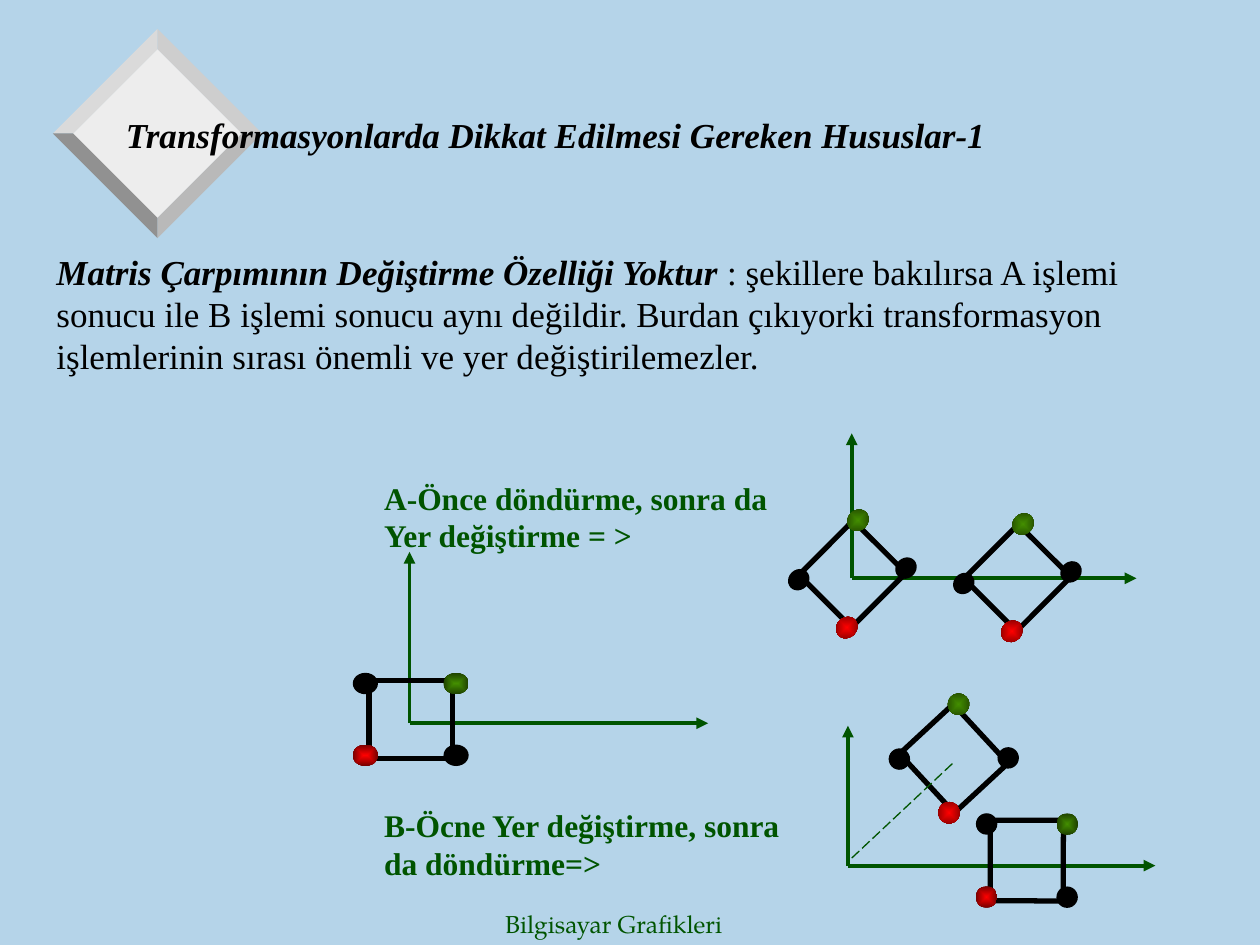
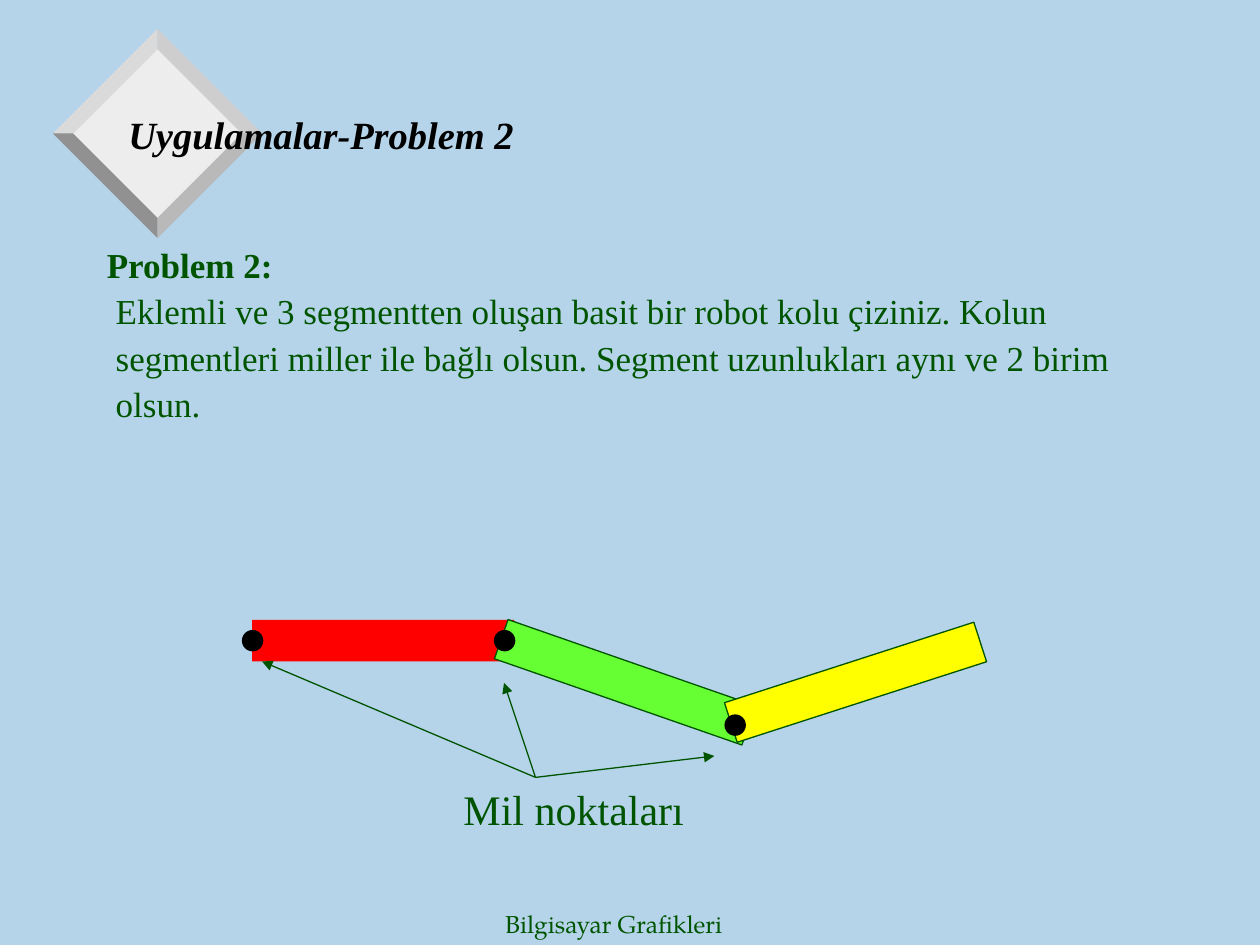
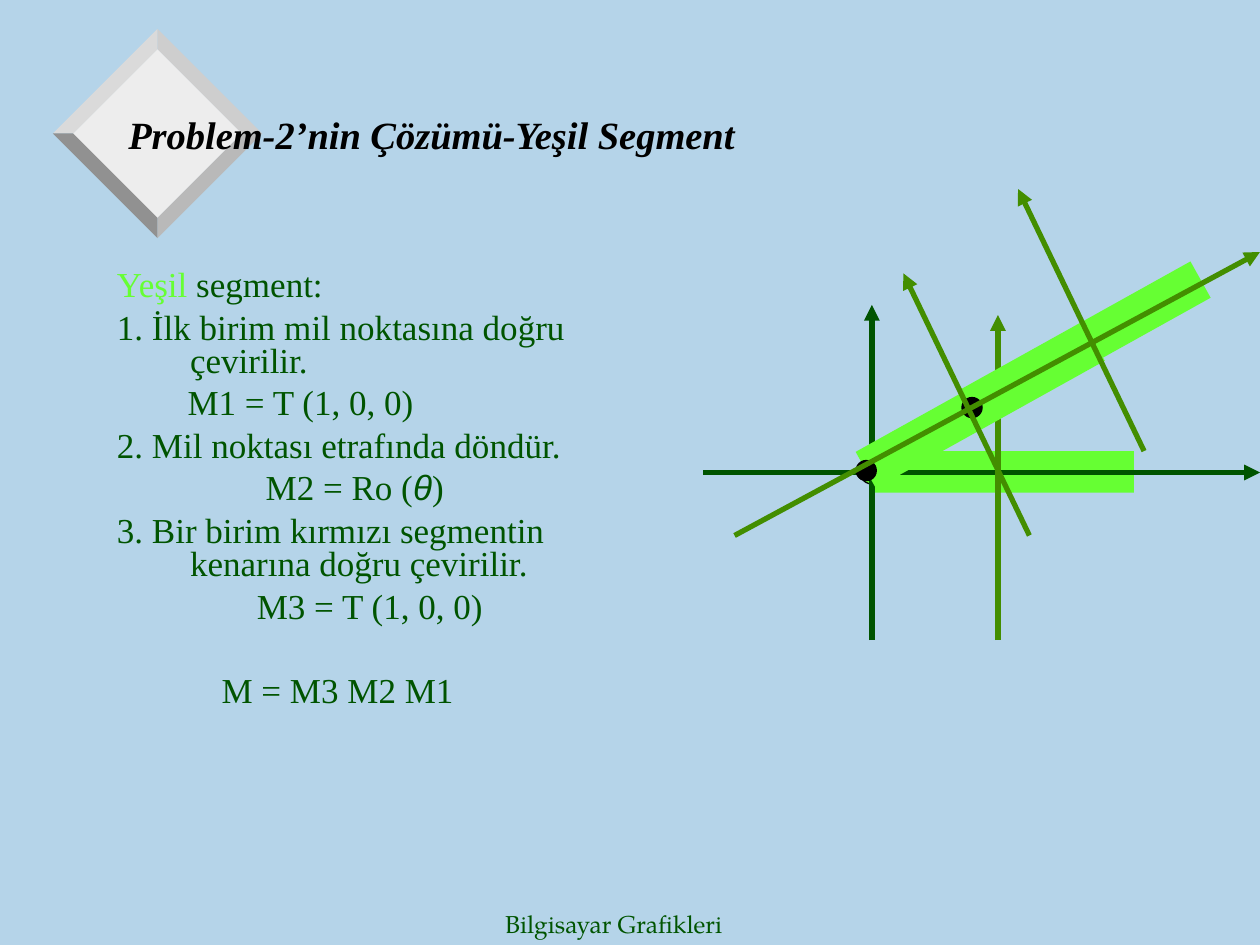
import math

from lxml import etree
from pptx import Presentation
from pptx import util as u
from pptx.dml.color import RGBColor
from pptx.enum import dml, shapes, text
from pptx.oxml.ns import qn

COLORS = {
    "sky": "B5D4E9", "ink": "005400", "black": "000000", "olive": "438E00",
    "olive_dark": "1E4100", "red": "FF0000", "red_dark": "750000",
    "lime": "66FF33", "yellow": "FFFF00", "face": "EDEDED",
    "upper_right": "CECECE", "upper_left": "DADADA",
    "lower_right": "B9B9B9", "lower_left": "919191",
}
RGB = {name: RGBColor.from_string(value) for name, value in COLORS.items()}
RECT = shapes.MSO_SHAPE.RECTANGLE
OVAL = shapes.MSO_SHAPE.OVAL
SERIF = "Times New Roman"


def add_text(slide, place, paragraphs, size=20, color="ink", bold=False, italic=False,
             font=SERIF, spacing=1.0, anchor=text.MSO_ANCHOR.TOP, wrap=True):
    """Each paragraph is a dict: runs [(text, overrides)], margin, hanging, before."""
    frame = slide.shapes.add_textbox(*map(u.Inches, place)).text_frame
    frame.word_wrap = wrap
    frame.vertical_anchor = anchor
    for index, content in enumerate(paragraphs):
        paragraph = frame.add_paragraph() if index else frame.paragraphs[0]
        properties = paragraph._p.get_or_add_pPr()
        hanging = content.get("hanging", 0)
        properties.set("marL", str(u.Inches(content.get("margin", 0) + hanging)))
        properties.set("indent", str(-u.Inches(hanging)))
        paragraph.line_spacing = spacing
        paragraph.space_before = u.Pt(content.get("before", 5) if index else 0)
        for words, overrides in content["runs"]:
            style = {"font": font, "color": color, "bold": bold, "italic": italic, **overrides}
            run = paragraph.add_run()
            run.text = words
            run.font.name = style["font"]
            run.font.size = u.Pt(size)
            run.font.bold = style["bold"]
            run.font.italic = style["italic"]
            run.font.color.rgb = RGB[style["color"]]


def draw(slide, kind, place, fill=None, line=None, width=0.75, rotation=0,
         arrow=True, dash=None):
    """Draw a preset shape, or with kind "line" a connector from x, y to x, y."""
    lengths = [u.Inches(value) for value in place]
    if kind == "line":
        shape = slide.shapes.add_connector(shapes.MSO_CONNECTOR.STRAIGHT, *lengths)
    else:
        shape = slide.shapes.add_shape(kind, *lengths)
        shape.shadow.inherit = False
        shape.rotation = rotation
        if isinstance(fill, tuple):
            shape.fill.gradient()
            for stop, name in zip(shape.fill.gradient_stops, fill):
                stop.color.rgb = RGB[name]
            gradient = shape._element.spPr.find(qn("a:gradFill"))
            gradient.remove(gradient.find(qn("a:lin")))
            shading = etree.SubElement(gradient, qn("a:path"), path="rect")
            etree.SubElement(shading, qn("a:fillToRect"),
                             l="50000", t="50000", r="50000", b="50000")
        elif fill:
            shape.fill.solid()
            shape.fill.fore_color.rgb = RGB[fill]
        else:
            shape.fill.background()
    if line:
        shape.line.color.rgb = RGB[line]
        shape.line.width = u.Pt(width)
    else:
        shape.line.fill.background()
    if kind == "line":
        if dash:
            shape.line.dash_style = dash
        properties = shape._element.spPr
        if arrow:
            etree.SubElement(properties.find(qn("a:ln")), qn("a:tailEnd"), type="triangle")
        etree.SubElement(properties, qn("a:effectLst"))


presentation = Presentation()
presentation.slide_width = u.Inches(10)
presentation.slide_height = u.Inches(7.5)
background = presentation.slide_master.background.fill
background.solid()
background.fore_color.rgb = RGB["sky"]

# Bevelled diamond: inner and outer corners around one centre
center_x, center_y, inner, outer = 1.25, 1.06, 0.67, 0.83
top, right, bottom, left = [(0, -1), (1, 0), (0, 1), (-1, 0)]
diamond = [("face", [(top, inner), (right, inner), (bottom, inner), (left, inner)])]
for name, first, second in [("upper_right", top, right), ("upper_left", top, left),
                            ("lower_right", right, bottom), ("lower_left", left, bottom)]:
    diamond.append((name, [(first, inner), (first, outer), (second, outer), (second, inner)]))

# Shared parts: diamond, footer, title
titles = [
    ("Transformasyonlarda Dikkat Edilmesi Gereken Hususlar-1", 0.9, 7.74, 20),
    ("Uygulamalar-Problem 2", 0.92, 8.5, 22),
    ("Problem-2’nin Çözümü-Yeşil Segment", 0.92, 8.5, 22),
]
slides = []
for title, title_left, title_width, title_size in titles:
    slide = presentation.slides.add_slide(presentation.slide_layouts[6])
    slides.append(slide)
    for name, corners in diamond:
        points = [(u.Inches(center_x + x * radius), u.Inches(center_y + y * radius))
                  for (x, y), radius in corners]
        builder = slide.shapes.build_freeform(*points[0])
        builder.add_line_segments(points[1:], close=True)
        facet = builder.convert_to_shape()
        facet.shadow.inherit = False
        facet.fill.solid()
        facet.fill.fore_color.rgb = RGB[name]
        facet.line.fill.background()
    add_text(slide, (3.91, 7.17, 2.08, 0.33), [{"runs": [("Bilgisayar Grafikleri", {})]}],
             size=14, font="TeX Gyre Pagella", anchor=text.MSO_ANCHOR.MIDDLE, wrap=False)
    add_text(slide, (title_left, 0.46, title_width, 1.21), [{"runs": [(title, {})]}],
             size=title_size, color="black", bold=True, italic=True,
             anchor=text.MSO_ANCHOR.MIDDLE)
order_slide, problem_slide, solution_slide = slides

# Slide 1: explanation and operation labels
add_text(order_slide, (0.35, 1.94, 8.9, 1.1), [{"runs": [
    ("Matris Çarpımının Değiştirme Özelliği Yoktur ", {"bold": True, "italic": True}),
    (": şekillere bakılırsa A işlemi sonucu ile B işlemi sonucu aynı değildir. Burdan "
     "çıkıyorki transformasyon işlemlerinin sırası önemli ve yer değiştirilemezler.", {}),
]}], color="black")
for label, label_top in [("A-Önce döndürme, sonra da Yer değiştirme = >", 3.75),
                         ("B-Öcne Yer değiştirme, sonra da döndürme=>", 6.35)]:
    add_text(order_slide, (2.95, label_top, 3.45, 0.7), [{"runs": [(label, {})]}],
             size=18, bold=True)

# Axes: origin, end of x axis, end of y axis
for origin_x, origin_y, x_end, y_end in [(3.25, 5.74, 5.62, 4.38),
                                         (6.76, 4.59, 9.02, 3.44),
                                         (6.73, 6.87, 9.17, 5.76)]:
    for end in [(x_end, origin_y), (origin_x, y_end)]:
        draw(order_slide, "line", (origin_x, origin_y, *end), line="ink", width=2.25)

# Squares with dots at the corners: centre, size, dot offset, dot size, rotation
squares = [
    (3.26, 5.71, 0.66, 0.62, 0.36, 0.285, 0.2, 0.17, 0),
    (6.765, 4.555, 0.61, 0.59, 0.333, 0.269, 0.18, 0.16, -45.1),
    (8.075, 4.585, 0.61, 0.59, 0.333, 0.269, 0.18, 0.16, -45.1),
    (8.15, 6.83, 0.58, 0.64, 0.32, 0.29, 0.17, 0.17, 0.1),
    (7.57, 6.02, 0.58, 0.64, 0.32, 0.29, 0.17, 0.17, -42.8),
]
dots = [(-1, -1, "black"), (1, -1, ("olive", "olive_dark")),
        (-1, 1, ("red", "red_dark")), (1, 1, "black")]
for x, y, width, height, offset_x, offset_y, dot_width, dot_height, angle in squares:
    draw(order_slide, RECT, (x - width / 2, y - height / 2, width, height),
         line="black", width=3, rotation=angle)
    cosine, sine = math.cos(math.radians(angle)), math.sin(math.radians(angle))
    for side_x, side_y, fill in dots:
        dx, dy = side_x * offset_x, side_y * offset_y
        dot_x = x + dx * cosine - dy * sine
        dot_y = y + dx * sine + dy * cosine
        draw(order_slide, OVAL,
             (dot_x - dot_width / 2, dot_y - dot_height / 2, dot_width, dot_height),
             fill=fill, rotation=angle)
draw(order_slide, "line", (6.76, 6.81, 7.57, 6.05), line="ink", arrow=False,
     dash=dml.MSO_LINE.LONG_DASH)

# Slide 2: problem statement
statement = [{"runs": [("Problem 2:", {"bold": True})]}]
for words in ["Eklemli ve 3 segmentten oluşan basit bir robot kolu çiziniz. Kolun",
              "segmentleri miller ile bağlı olsun. Segment uzunlukları aynı ve 2 birim",
              "olsun."]:
    statement.append({"runs": [(words, {})], "margin": 0.07})
add_text(problem_slide, (0.75, 1.92, 8.5, 2.42), statement, spacing=0.9)

# Robot arm segments, pins and pointers
segment_size = (2.08, 0.33)
pin_size = (0.17, 0.17)
for place, fill, line, angle in [((2, 4.92), "red", None, 0),
                                 ((3.92, 5.25), "lime", "ink", 19.2),
                                 ((5.75, 5.25), "yellow", "ink", 342.1)]:
    draw(problem_slide, RECT, place + segment_size, fill=fill, line=line, rotation=angle)
for place in [(1.92, 5), (3.92, 5), (5.75, 5.67)]:
    draw(problem_slide, OVAL, place + pin_size, fill="black")
for target in [(2.08, 5.25), (4, 5.42), (5.67, 6)]:
    draw(problem_slide, "line", (4.25, 6.17, *target), line="ink")
add_text(problem_slide, (3.58, 6.17, 2.28, 0.5), [{"runs": [("Mil noktaları", {})]}], size=24)

# Slide 3: solution steps
add_text(solution_slide, (0.83, 2.1, 4.58, 4.37), [
    {"runs": [("Yeşil", {"color": "lime"}), (" segment:", {})]},
    {"runs": [("1. İlk birim mil noktasına doğru çevirilir.", {})], "hanging": 0.58},
    {"runs": [("M1 = T (1, 0, 0)", {})], "margin": 0.56},
    {"runs": [("2. Mil noktası etrafında döndür.", {})], "hanging": 0.58},
    {"runs": [("M2 = Ro (", {}), ("θ", {"font": "Arial", "italic": True}), (")", {})],
     "margin": 1.18},
    {"runs": [("3. Bir birim kırmızı segmentin kenarına doğru çevirilir.", {})],
     "hanging": 0.58},
    {"runs": [("M3 = T (1, 0, 0)", {})], "margin": 1.11},
    {"runs": [("M = M3 M2 M1", {})], "margin": 0.83, "before": 29},
], spacing=0.8)

# Segment at rest and the fixed axes
draw(solution_slide, RECT, (6.92, 3.58) + segment_size, fill="lime")
draw(solution_slide, OVAL, (6.83, 3.67) + pin_size, fill="lime", line="black")
for place, color in [((5.58, 3.75, 10, 3.75), "ink"), ((6.92, 5.08, 6.92, 2.42), "ink"),
                     ((7.92, 5.08, 7.92, 2.5), "olive")]:
    draw(solution_slide, "line", place, line=color, width=3)

# Rotated segments and their axes
for segment, pin in [((6.74, 3.06), (6.79, 3.65)), ((7.58, 2.56), (7.63, 3.15))]:
    draw(solution_slide, RECT, segment + segment_size, fill="lime", rotation=330.9)
    draw(solution_slide, OVAL, pin + pin_size, fill="black", rotation=330.9)
for place in [(9.08, 3.58, 8.08, 1.5), (5.83, 4.25, 10, 2), (8.17, 4.25, 7.17, 2.17)]:
    draw(solution_slide, "line", place, line="olive", width=3)

presentation.save("out.pptx")
